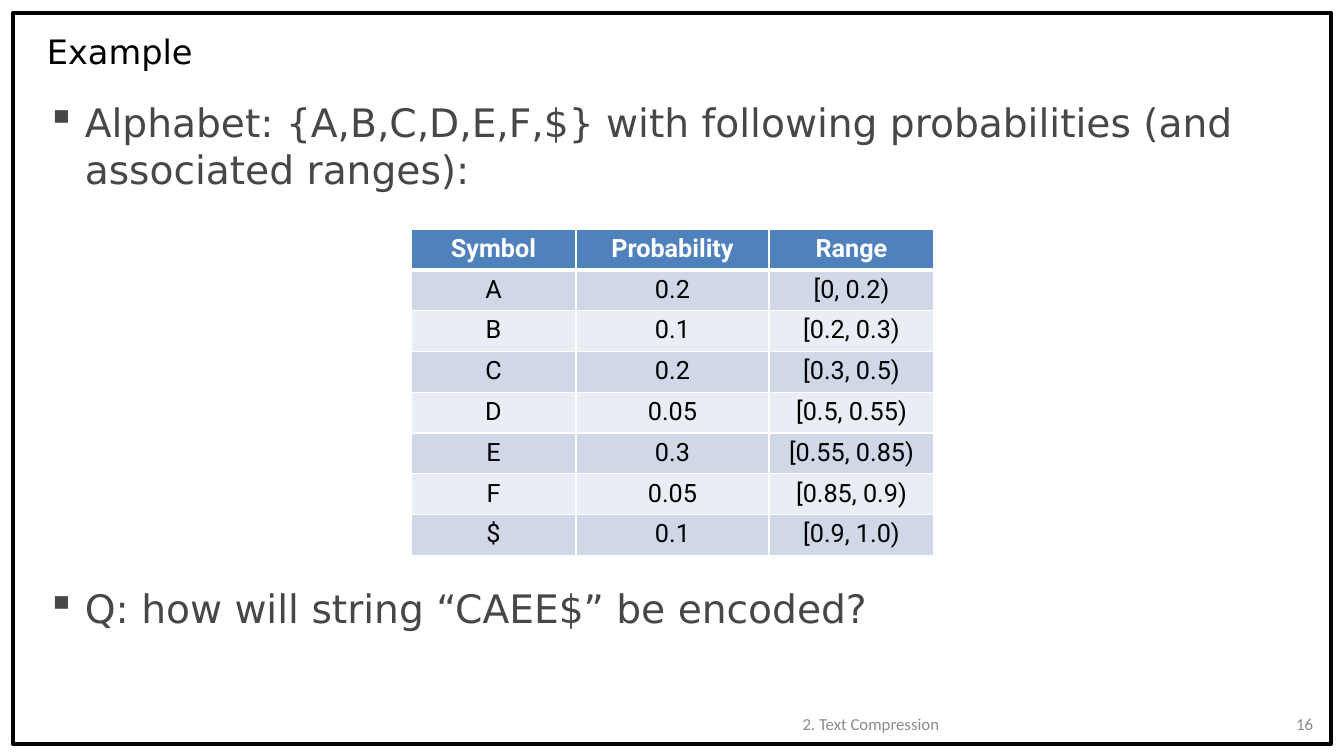
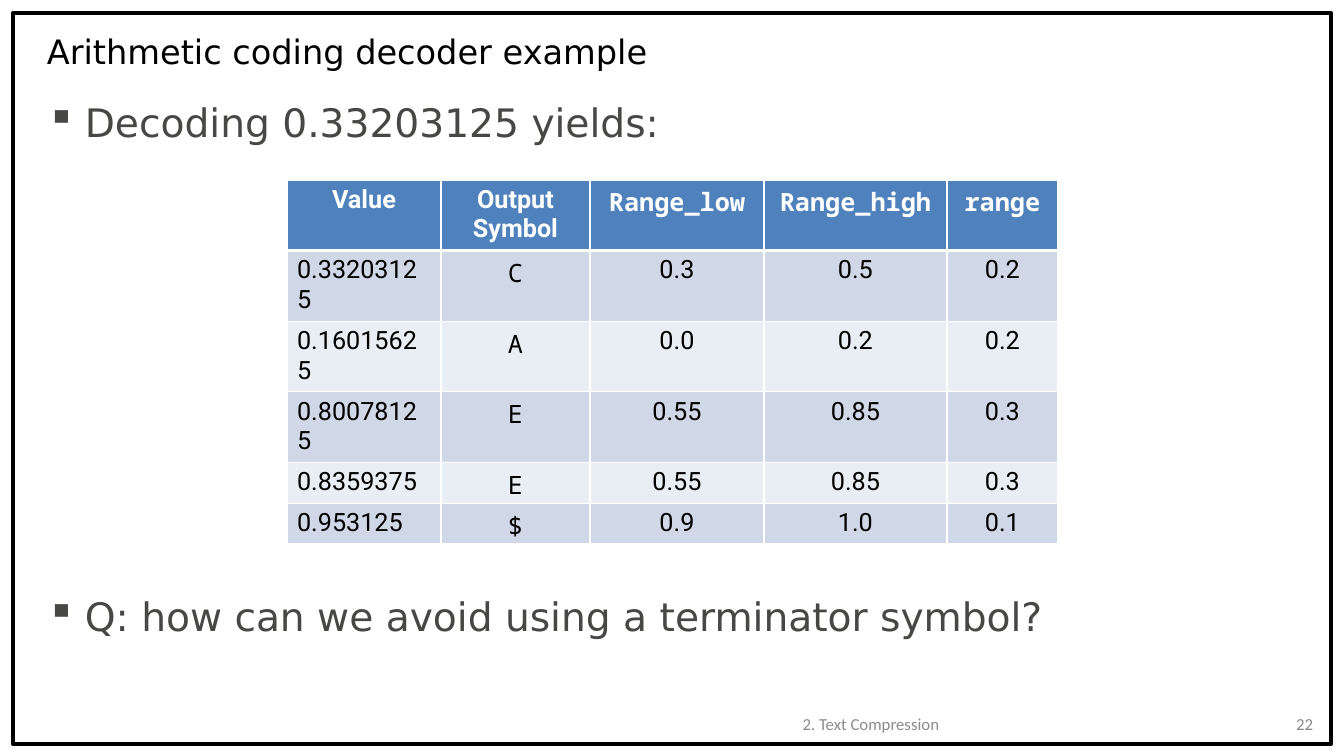
"""Build two slides on arithmetic coding, each with a table between two bullets."""
from lxml import etree
from pptx import Presentation
from pptx import util as u
from pptx.dml.color import RGBColor
from pptx.enum import shapes, text
from pptx.oxml import ns

BLACK = RGBColor(0, 0, 0)
WHITE = RGBColor(255, 255, 255)
GREY = RGBColor(0x47, 0x47, 0x46)
FOOT = RGBColor(0x8C, 0x8C, 0x8C)
PAGE = RGBColor(0x89, 0x89, 0x89)
HEAD = RGBColor(0x4F, 0x81, 0xBD)
BANDS = [RGBColor(0xD0, 0xD8, 0xE8), RGBColor(0xE9, 0xED, 0xF4)]
SANS, MONO, CELL, SMALL = "DejaVu Sans", "Noto Sans Mono", "Roboto", "Calibri"
LEFT, MID, RIGHT = text.PP_ALIGN.LEFT, text.PP_ALIGN.CENTER, text.PP_ALIGN.RIGHT
SCALE = 914400 / 100.8
EDGES = ["lnL", "lnR", "lnT", "lnB"]


def px(*sizes):
    return [u.Emu(round(size * SCALE)) for size in sizes]


def style(frame, font, size, color, align=LEFT, bold=False):
    for para in frame.paragraphs:
        para.alignment = align
        for run in para.runs:
            run.font.name, run.font.size = font, u.Pt(size)
            run.font.color.rgb, run.font.bold = color, bold


pages = [
    {
        "title": "Example",
        "page": "16",
        "bullets": [
            "Alphabet: {A,B,C,D,E,F,$} with following probabilities (and associated ranges):",
            "Q: how will string “CAEE$” be encoded?",
        ],
        "gap": 392,
        "spot": (411, 229),
        "cols": [165, 193, 165],
        "left": [],
        "mono": [],
        "rows": [
            ["Symbol", "Probability", "Range"],
            ["A", "0.2", "[0, 0.2)"],
            ["B", "0.1", "[0.2, 0.3)"],
            ["C", "0.2", "[0.3, 0.5)"],
            ["D", "0.05", "[0.5, 0.55)"],
            ["E", "0.3", "[0.55, 0.85)"],
            ["F", "0.05", "[0.85, 0.9)"],
            ["$", "0.1", "[0.9, 1.0)"],
        ],
    },
    {
        "title": "Arithmetic coding decoder example",
        "page": "22",
        "bullets": [
            "Decoding 0.33203125 yields:",
            "Q: how can we avoid using a terminator symbol?",
        ],
        "gap": 447,
        "spot": (287, 180),
        "cols": [154, 149, 174, 183, 111],
        "left": [0],
        "mono": [1],
        "rows": [
            ["Value", "Output Symbol", "Range_low", "Range_high", "range"],
            ["0.33203125", "C", "0.3", "0.5", "0.2"],
            ["0.16015625", "A", "0.0", "0.2", "0.2"],
            ["0.80078125", "E", "0.55", "0.85", "0.3"],
            ["0.8359375", "E", "0.55", "0.85", "0.3"],
            ["0.953125", "$", "0.9", "1.0", "0.1"],
        ],
    },
]

deck = Presentation()
deck.slide_width, deck.slide_height = px(1344, 756)

for page in pages:
    slide = deck.slides.add_slide(deck.slide_layouts[6])

    border = slide.shapes.add_shape(shapes.MSO_SHAPE.RECTANGLE, *px(13, 13, 1318, 731))
    border.shadow.inherit = False
    border.fill.background()
    border.line.color.rgb, border.line.width = BLACK, u.Pt(3)

    labels = [
        (page["title"], (37, 21, 1270, 61), SANS, 24, BLACK, LEFT),
        ("2. Text Compression", (543, 704, 656, 40), SMALL, 12, FOOT, MID),
        (page["page"], (1212, 704, 111, 40), SMALL, 12, PAGE, RIGHT),
    ]
    for words, area, font, size, color, align in labels:
        frame = slide.shapes.add_textbox(*px(*area)).text_frame
        frame.word_wrap = True
        frame.vertical_anchor = text.MSO_ANCHOR.MIDDLE
        frame.text = words
        style(frame, font, size, color, align)

    body = slide.shapes.add_textbox(*px(37, 93, 1270, 555)).text_frame
    body.word_wrap = True
    body.text = "\n".join(page["bullets"])
    style(body, SANS, 28, GREY)
    for para in body.paragraphs:
        props = para._p.get_or_add_pPr()
        indent = px(38)[0]
        props.set("marL", str(indent))
        props.set("indent", str(-indent))
        etree.SubElement(props, ns.qn("a:buChar"), char="▪")
    body.paragraphs[1].space_before = px(page["gap"])[0]

    rows, cols = page["rows"], page["cols"]
    area = px(*page["spot"], sum(cols), 40.8 * len(rows))
    table = slide.shapes.add_table(len(rows), len(cols), *area).table
    for col, wide in zip(table.columns, px(*cols)):
        col.width = wide
    for r, row in enumerate(rows):
        for c, words in enumerate(row):
            cell = table.cell(r, c)
            cell.text = words
            top = r == 0
            mono = words.lower().startswith("range_") or words == "range" or (not top and c in page["mono"])
            align = LEFT if not top and c in page["left"] else MID
            style(cell.text_frame, MONO if mono else CELL, 18, WHITE if top else BLACK, align, top)
            props = cell._tc.get_or_add_tcPr()
            for edge in EDGES:
                thick = (r, edge) in [(0, "lnB"), (1, "lnT")]
                line = etree.SubElement(props, ns.qn("a:" + edge), w=str(u.Pt(3 if thick else 1)))
                paint = etree.SubElement(line, ns.qn("a:solidFill"))
                etree.SubElement(paint, ns.qn("a:srgbClr"), val=str(WHITE))
            cell.fill.solid()
            cell.fill.fore_color.rgb = HEAD if top else BANDS[(r - 1) % 2]

deck.save("out.pptx")
